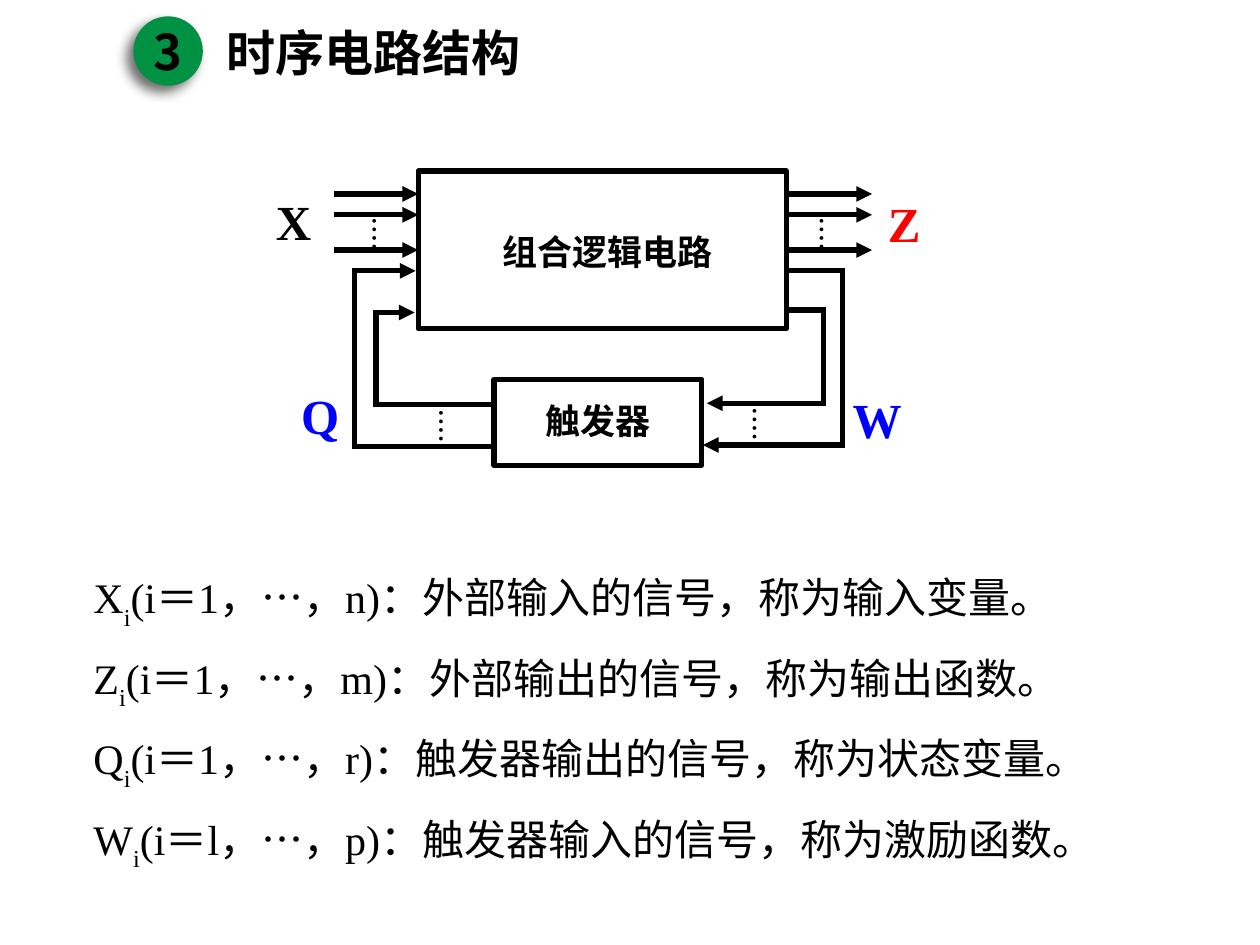
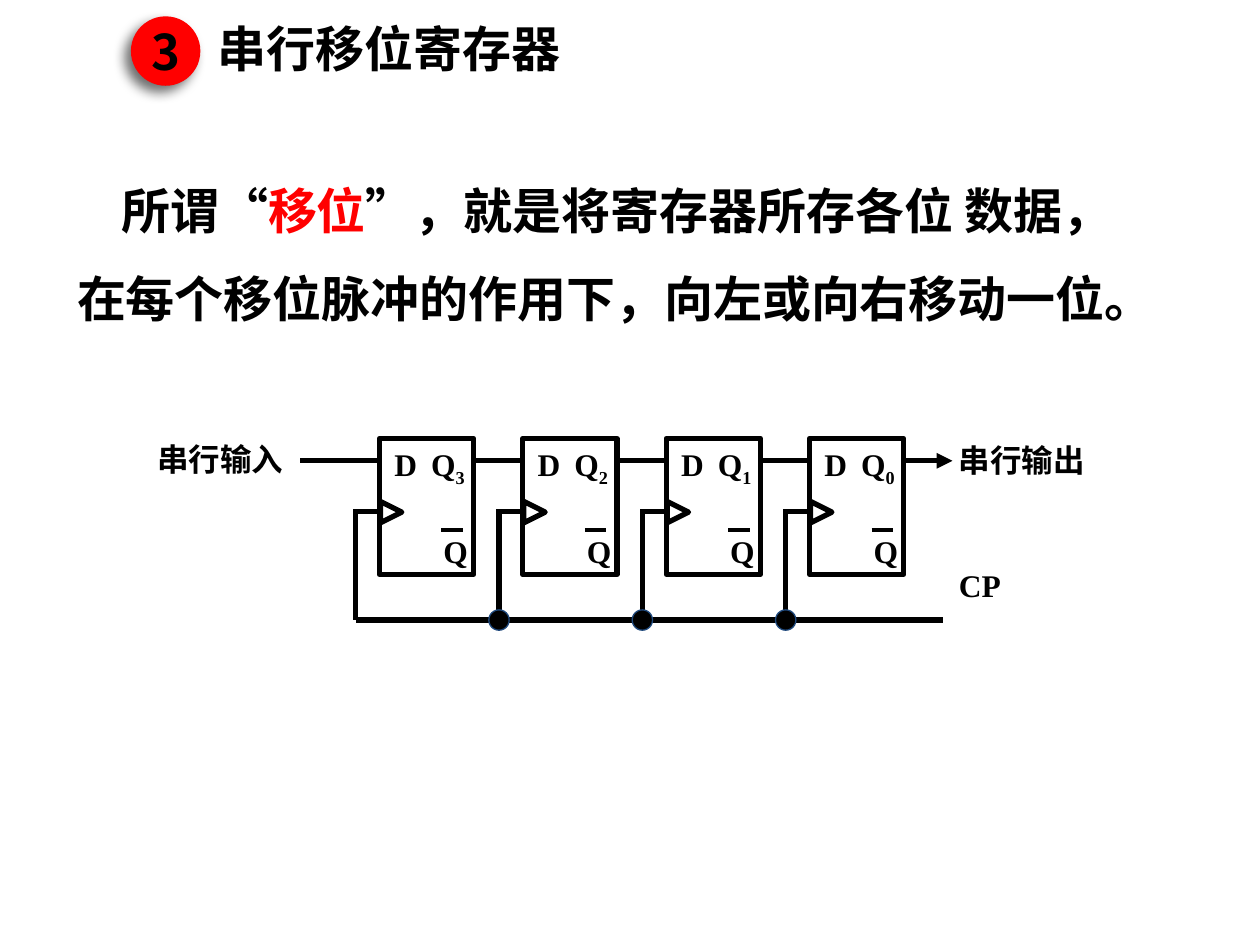
import pptx
import pptx.dml.color
import pptx.enum.shapes
import pptx.enum.text
import pptx.oxml
import pptx.oxml.ns
import pptx.util
from lxml import etree

Cm = pptx.util.Cm
Pt = pptx.util.Pt
RGBColor = pptx.dml.color.RGBColor
SHAPE = pptx.enum.shapes.MSO_SHAPE
ALIGN = pptx.enum.text.PP_ALIGN
ANCHOR = pptx.enum.text.MSO_ANCHOR
qn = pptx.oxml.ns.qn

BLACK = RGBColor(0x00, 0x00, 0x00)
RED = RGBColor(0xFF, 0x00, 0x00)
BLUE = RGBColor(0x00, 0x00, 0xFF)
GREEN = RGBColor(0x00, 0x92, 0x42)
NAVY = RGBColor(0x1F, 0x49, 0x7D)

CALIBRI = "Calibri"
TIMES = "Times New Roman"
NOTO = "Noto Sans CJK SC"

BADGE_SHADOW = (
    '<a:effectLst %s><a:outerShdw blurRad="88900" dist="63500" dir="8100000" '
    'algn="tr" rotWithShape="0"><a:srgbClr val="000000"><a:alpha val="57000"/>'
    "</a:srgbClr></a:outerShdw></a:effectLst>" % pptx.oxml.ns.nsdecls("a")
)


def write(p, text, size=18, font=TIMES, color=BLACK, bold=True, baseline=0):
    """Add one formatted run; baseline is a percentage of the text size."""
    r = p.add_run()
    r.text = text
    r.font.size = Pt(size)
    r.font.name = font
    r.font.bold = bold
    r.font.color.rgb = color
    if baseline:
        r.font._element.set("baseline", str(baseline * 1000))


def place(sp, left, top, width, height):
    sp.left, sp.top, sp.width, sp.height = Cm(left), Cm(top), Cm(width), Cm(height)


def prepare_frame(sp):
    tf = sp.text_frame
    tf.word_wrap = True
    tf.auto_size = pptx.enum.text.MSO_AUTO_SIZE.NONE
    tf.vertical_anchor = ANCHOR.TOP
    return tf


def add_label(slide, text, left, top, width, sub="", height=1.02, **fmt):
    sp = slide.shapes.add_textbox(Cm(left), Cm(top), Cm(width), Cm(height))
    p = prepare_frame(sp).paragraphs[0]
    write(p, text, **fmt)
    if sub:
        write(p, sub, baseline=-25, **fmt)


def add_solid(slide, kind, left, top, width, height, fill=None, line=BLACK, weight=3):
    sp = slide.shapes.add_shape(kind, Cm(left), Cm(top), Cm(width), Cm(height))
    sp.shadow.inherit = False
    if fill is None:
        sp.fill.background()
    else:
        sp.fill.solid()
        sp.fill.fore_color.rgb = fill
    if line is None:
        sp.line.fill.background()
    else:
        sp.line.color.rgb = line
        sp.line.width = Pt(weight)
    return sp


def add_wire(slide, *points, arrow=False, weight=3):
    """Draw straight segments through the points and return the last one."""
    for start, end in zip(points, points[1:]):
        cx = slide.shapes.add_connector(
            pptx.enum.shapes.MSO_CONNECTOR.STRAIGHT, *map(Cm, start + end))
        cx.line.color.rgb = BLACK
        cx.line.width = Pt(weight)
        etree.SubElement(cx._element.spPr, qn("a:effectLst"))
        if len(points) > 2 and end != points[-1]:
            cx.line._get_or_add_ln().set("cap", "sq")
    if arrow:
        etree.SubElement(cx.line._get_or_add_ln(), qn("a:tailEnd"), type="triangle")
    return cx


def add_heading(slide, text, left, top, font, badge_left, badge_color):
    """Fill the title and put the numbered badge in front of it."""
    title = slide.shapes.title
    place(title, left, top, 12, 1.45)
    p = prepare_frame(title).paragraphs[0]
    p.alignment = ALIGN.LEFT
    write(p, text, size=28, font=font)

    badge = add_solid(slide, SHAPE.OVAL, badge_left, 0.33, 1.4, 1.4, badge_color, None)
    sp_pr = badge._element.spPr
    sp_pr.replace(sp_pr.find(qn("a:effectLst")), pptx.oxml.parse_xml(BADGE_SHADOW))
    tf = badge.text_frame
    tf.margin_left = tf.margin_right = tf.margin_top = tf.margin_bottom = 0
    tf.vertical_anchor = ANCHOR.MIDDLE
    tf.paragraphs[0].alignment = ALIGN.CENTER
    write(tf.paragraphs[0], "3", size=28, font=NOTO)


def add_body(slide, paragraphs, box, size, font, bold, align, indent=0,
             before=0, spacing=1.0):
    """Fill the body; each paragraph is a list of (text, run format)."""
    body = slide.placeholders[1]
    place(body, *box)
    tf = prepare_frame(body)
    for i, runs in enumerate(paragraphs):
        p = tf.paragraphs[0] if i == 0 else tf.add_paragraph()
        p_pr = p._p.get_or_add_pPr()
        p_pr.set("marL", "0")
        p_pr.set("indent", str(Cm(indent)))
        etree.SubElement(p_pr, qn("a:buNone"))
        p.alignment = align
        p.line_spacing = spacing
        p.space_before = Pt(before if i else 0)
        for text, fmt in runs:
            write(p, text, size=size, font=font, bold=bold, **fmt)


def build_circuit_structure(slide):
    add_heading(slide, "时序电路结构", 4.32, 0.33, CALIBRI, 2.69, GREEN)

    signals = [
        ("X", "(i＝1，…，n)：外部输入的信号，称为输入变量。"),
        ("Z", "(i＝1，…，m)：外部输出的信号，称为输出函数。"),
        ("Q", "(i＝1，…，r)：触发器输出的信号，称为状态变量。"),
        ("W", "(i＝l，…，p)：触发器输入的信号，称为激励函数。"),
    ]
    add_body(slide,
             [[(name, {}), ("i", {"baseline": -30}), (meaning, {})]
              for name, meaning in signals],
             (1.63, 11.4, 21.59, 5.89), 24, TIMES, False, ALIGN.JUSTIFY, before=12)

    logic_left, logic_right, logic_middle = 8.43, 15.85, 5.04
    logic = add_solid(slide, SHAPE.RECTANGLE, logic_left, 3.45, 7.42, 3.18)
    store_left = 9.96
    add_solid(slide, SHAPE.RECTANGLE, store_left, 7.65, 4.19, 1.73)
    add_label(slide, "组合逻辑电路", 9.88, 4.52, 5, size=20, font=CALIBRI)
    add_label(slide, "触发器", 10.74, 7.92, 3.18, size=20, font=CALIBRI)

    for y in (3.91, 4.33, logic_middle):
        source = add_wire(slide, (6.73, y), (logic_left, y), arrow=True)
        output = add_wire(slide, (logic_right, y), (17.58, y), arrow=True)
    source.end_connect(logic, 1)
    output.begin_connect(logic, 3)

    # Feedback loops: column, upper y, lower y, arrow tip
    for x, upper, lower, tip in ((7.14, 5.46, 9.0, 8.38), (7.58, 6.3, 8.15, 8.36)):
        add_wire(slide, (store_left, lower), (x, lower), (x, upper), (tip, upper),
                 arrow=True)
    for x, upper, lower, tip in ((16.99, 5.46, 8.97, 14.17), (16.6, 6.25, 8.13, 14.25)):
        add_wire(slide, (logic_right, upper), (x, upper), (x, lower), (tip, lower),
                 arrow=True)

    for name, left, top, color in (("X", 5.31, 3.73, BLACK), ("Q", 5.82, 7.65, BLUE),
                                   ("Z", 17.65, 3.78, RED), ("W", 16.94, 7.72, BLUE)):
        add_label(slide, name, left, top, 1.68, size=28, color=color, height=1.45)
    for left, top in ((16.23, 4.15), (7.21, 4.15), (8.56, 8.03), (14.88, 7.98)):
        add_label(slide, "⁞", left, top, 0.69, font=CALIBRI, bold=False)


def add_flip_flop(slide, left, top, number):
    add_solid(slide, SHAPE.RECTANGLE, left, top, 1.9, 2.74)
    clock = add_solid(slide, SHAPE.FLOWCHART_EXTRACT, left + 0.02, top + 1.27, 0.43, 0.43)
    clock.rotation = 90
    add_label(slide, "D", left + 0.05, top, 1.09)
    add_label(slide, "Q", left + 0.79, top, 1.73, sub=number)
    add_label(slide, "Q", left + 1.04, top + 1.77, 1.17)
    add_wire(slide, (left + 1.25, top + 1.84), (left + 1.68, top + 1.84), weight=2.25)


def build_shift_register(slide):
    add_heading(slide, "串行移位寄存器", 4.14, 0.25, NOTO, 2.64, RED)
    add_body(slide,
             [[("所谓“", {}), ("移位", {"color": RED}),
               ("”，就是将寄存器所存各位 数据，在每个移位脉冲的作用下，"
                "向左或向右移动一位。", {})]],
             (1.3, 2.92, 21.41, 3.63), 28, CALIBRI, True, ALIGN.LEFT,
             indent=0.89, spacing=1.5)

    first, pitch, width, top = 7.65, 2.89, 1.9, 8.84
    data_y, clock_y, rail_y = 9.29, 10.31, 12.5
    tap, dot = 0.48, 0.41

    add_wire(slide, (6.05, data_y), (first, data_y))
    add_wire(slide, (first - tap, rail_y), (19, rail_y))
    for i, number in enumerate("3210"):
        left = first + i * pitch
        last = number == "0"
        add_flip_flop(slide, left, top, number)
        data_end = 19.2 if last else left + pitch
        add_wire(slide, (left + width, data_y), (data_end, data_y), arrow=last)
        add_wire(slide, (left, clock_y), (left - tap, clock_y), (left - tap, rail_y))
        if i:
            add_solid(slide, SHAPE.OVAL, left - tap - dot / 2, rail_y - dot / 2,
                      dot, dot, BLACK, NAVY, 0.75)

    add_label(slide, "串行输入", 2.92, 8.74, 3.2)
    add_label(slide, "串行输出", 19.08, 8.76, 3.63)
    add_label(slide, "CP", 19.08, 11.28, 2.08)


def main():
    prs = pptx.Presentation()
    prs.slide_width, prs.slide_height = Cm(25.4), Cm(19.05)
    for build in (build_circuit_structure, build_shift_register):
        build(prs.slides.add_slide(prs.slide_layouts[1]))
    prs.save("out.pptx")


if __name__ == "__main__":
    main()
